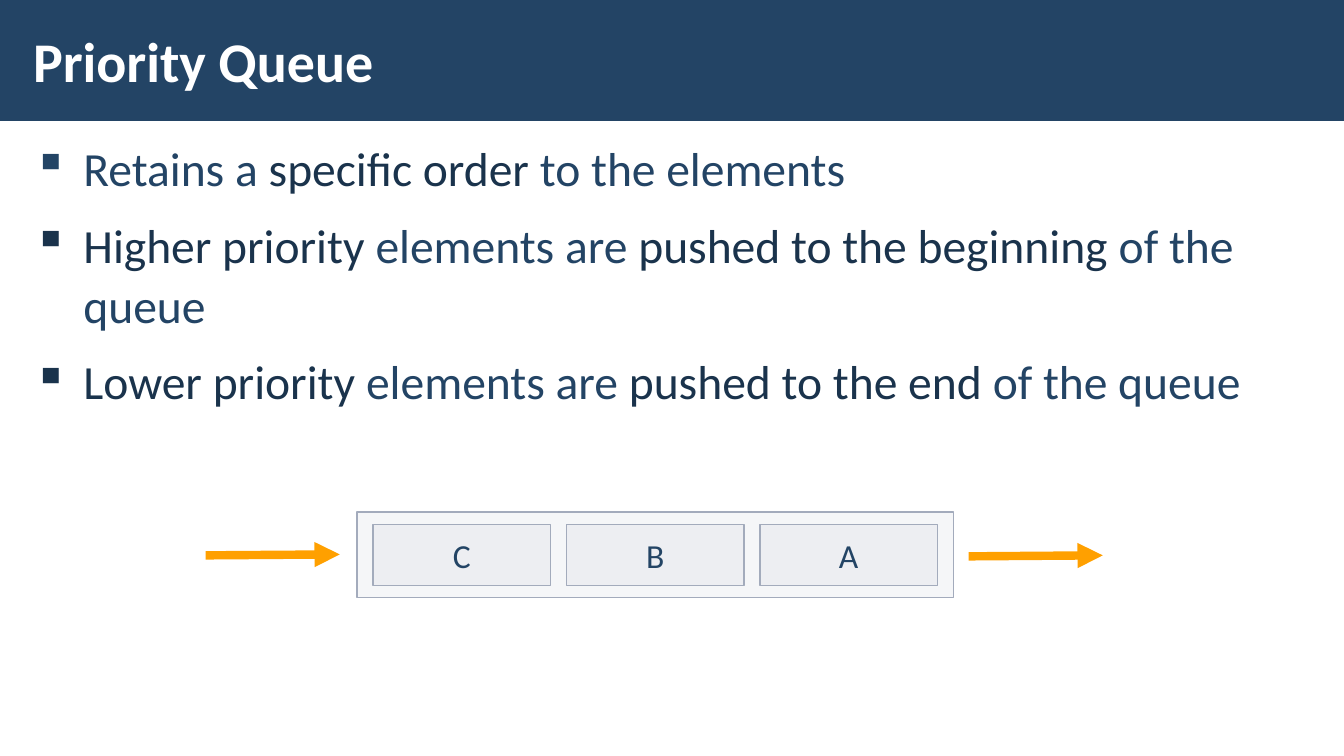
from lxml import etree
from pptx import Presentation
from pptx.dml.color import RGBColor
from pptx.enum.shapes import MSO_CONNECTOR, MSO_SHAPE
from pptx.enum.text import MSO_ANCHOR, PP_ALIGN
from pptx.oxml.ns import qn
from pptx.util import Pt

RECT = MSO_SHAPE.RECTANGLE
LINE = MSO_CONNECTOR.STRAIGHT
MIDDLE = MSO_ANCHOR.MIDDLE
CENTER = PP_ALIGN.CENTER

NAVY = RGBColor(0x23, 0x44, 0x65)
DARK = RGBColor(0x1A, 0x33, 0x4C)
WHITE = RGBColor(0xFF, 0xFF, 0xFF)
PALE = RGBColor(0xC2, 0xC7, 0xD2)
EDGE = RGBColor(0xA3, 0xAB, 0xBC)
AMBER = RGBColor(0xFF, 0xA0, 0x00)
FONT = "Calibri"

TITLE = "Priority Queue"
POINTS = [
    [("Retains a ", NAVY), ("specific order ", DARK), ("to the elements", NAVY)],
    [("Higher priority ", DARK), ("elements are ", NAVY),
     ("pushed to the beginning ", DARK), ("of the queue", NAVY)],
    [("Lower priority ", DARK), ("elements are ", NAVY),
     ("pushed to the end ", DARK), ("of the queue", NAVY)],
]
ITEMS = ["C", "B", "A"]
ARROWS = [(146.9, 396.7), (691.9, 397.4)]
REACH, RISE = 95.8, 0.7

WIDE, HIGH = 960, 540
QUEUE = (254.9, 365.8, 426.2, 61.2)
CELL_W, CELL_H, GAP = 126.7, 43.9, 11.5


def style(run, size, color, bold=False):
    font = run.font
    font.name, font.size, font.bold = FONT, Pt(size), bold
    font.color.rgb = color


def add_box(slide, place, fill):
    box = slide.shapes.add_shape(RECT, *map(Pt, place))
    box.shadow.inherit = False
    box.fill.solid()
    box.fill.fore_color.rgb = fill
    box.line.fill.background()
    return box


def add_pale(slide, place):
    box = add_box(slide, place, PALE)
    tint = box._element.spPr.find(qn("a:solidFill"))[0]
    etree.SubElement(tint, qn("a:alpha"), val="15000")
    box.line.color.rgb = EDGE
    box.line.width = Pt(1)
    return box


def add_text(slide, place):
    frame = slide.shapes.add_textbox(*map(Pt, place)).text_frame
    frame.word_wrap = True
    frame.margin_left = frame.margin_right = Pt(8.5)
    frame.margin_top = frame.margin_bottom = Pt(2.8)
    return frame


def add_points(slide):
    frame = add_text(slide, (15.1, 94.3, 930.2, 409.7))
    for i, parts in enumerate(POINTS):
        para = frame.paragraphs[0] if i == 0 else frame.add_paragraph()
        para.line_spacing = 1.05
        para.space_before = Pt(6 if i else 0)
        para.space_after = Pt(6)
        props = para._p.get_or_add_pPr()
        props.set("marL", str(Pt(36)))
        props.set("indent", str(Pt(-36)))
        etree.SubElement(props, qn("a:buChar"), char="▪")
        for text, color in parts:
            run = para.add_run()
            run.text = text
            style(run, 34, color)


def add_queue(slide):
    left, top, width, height = QUEUE
    add_pale(slide, QUEUE)
    span = len(ITEMS) * CELL_W + (len(ITEMS) - 1) * GAP
    start = left + (width - span) / 2
    for i, name in enumerate(ITEMS):
        x = start + i * (CELL_W + GAP)
        cell = add_pale(slide, (x, top + (height - CELL_H) / 2, CELL_W, CELL_H))
        frame = cell.text_frame
        frame.vertical_anchor = MIDDLE
        frame.text = name
        para = frame.paragraphs[0]
        para.alignment = CENTER
        style(para.runs[0], 24, NAVY)


def add_arrow(slide, x, y):
    arrow = slide.shapes.add_connector(
        LINE, Pt(x), Pt(y), Pt(x + REACH), Pt(y - RISE))
    arrow.line.color.rgb = AMBER
    arrow.line.width = Pt(6)
    etree.SubElement(arrow.line._get_or_add_ln(), qn("a:tailEnd"), type="triangle")
    etree.SubElement(arrow._element.spPr, qn("a:effectLst"))


def main():
    deck = Presentation()
    deck.slide_width, deck.slide_height = Pt(WIDE), Pt(HIGH)
    slide = deck.slides.add_slide(deck.slide_layouts[6])
    add_box(slide, (0, 0, WIDE, 86.4), NAVY)
    add_points(slide)
    head = add_text(slide, (15.1, 7.9, 748.8, 69.8))
    head.vertical_anchor = MIDDLE
    head.text = TITLE
    style(head.paragraphs[0].runs[0], 40, WHITE, True)
    add_queue(slide)
    for x, y in ARROWS:
        add_arrow(slide, x, y)
    deck.save("out.pptx")


if __name__ == "__main__":
    main()
